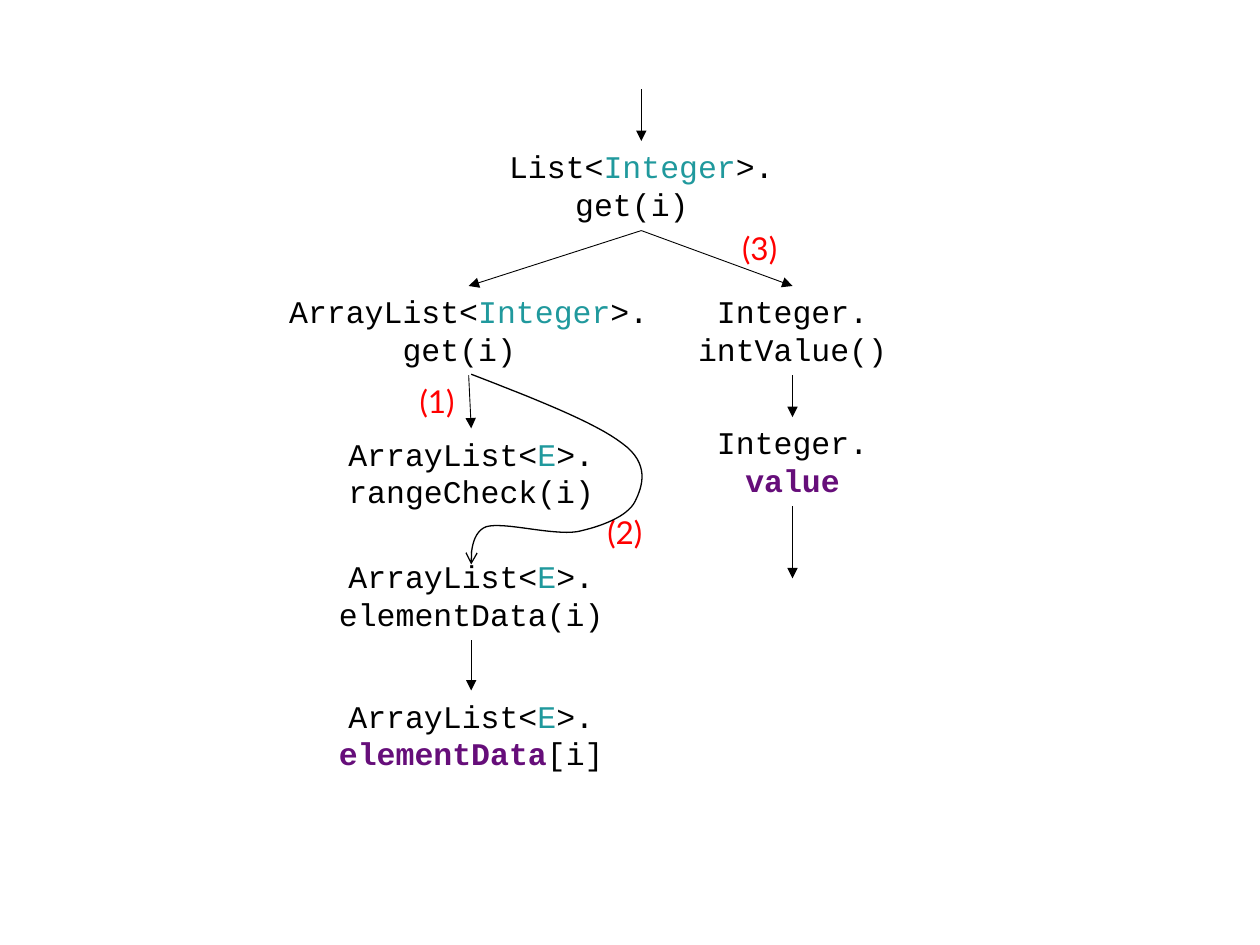
from typing import NamedTuple

import pptx
import pptx.dml.color
import pptx.enum.shapes
import pptx.enum.text
import pptx.oxml
import pptx.oxml.ns
import pptx.util
from pptx.util import Inches

BLACK, TEAL, PURPLE, RED = "000000", "20999D", "660E7A", "FF0000"
TOP, BOTTOM = 0, 2
BOX_HEIGHT = 0.71
CURVE_STEPS = 16


class Span(NamedTuple):
    text: str
    color: str = BLACK
    bold: bool = False


class Call(NamedTuple):
    center: float
    top: float
    width: float
    lines: list[list[Span]]


class Label(NamedTuple):
    text: str
    left: float
    top: float


def generic(name: str, argument: str) -> list[Span]:
    return [Span(f"{name}<"), Span(argument, TEAL), Span(">.")]


CALLS = {
    "list get": Call(5.09, 1.12, 2.29, [generic("List", "Integer"), [Span("get(i) ")]]),
    "array get": Call(3.72, 2.27, 3.04, [generic("ArrayList", "Integer"), [Span("get(i) ")]]),
    "range check": Call(3.74, 3.40, 2.14, [generic("ArrayList", "E"), [Span("rangeCheck(i)")]]),
    "element call": Call(3.74, 4.37, 2.21, [generic("ArrayList", "E"), [Span("elementData(i)")]]),
    "element field": Call(3.74, 5.48, 2.21, [
        generic("ArrayList", "E"), [Span("elementData", PURPLE, True), Span("[i]")]]),
    "int value": Call(6.29, 2.27, 1.61, [[Span("Integer.")], [Span("intValue()")]]),
    "value field": Call(6.29, 3.31, 1.39, [[Span("Integer.")], [Span("value", PURPLE, True)]]),
}
LINKS = [
    ("list get", "array get"),
    ("list get", "int value"),
    ("array get", "range check"),
    ("element call", "element field"),
    ("int value", "value field"),
]
LABELS = [Label("(1)", 3.28, 2.98), Label("(2)", 4.77, 4.02), Label("(3)", 5.84, 1.77)]

# Start point, then two control points and an end point for each cubic segment
BYPASS = [
    (3.74, 2.97),
    (4.23, 3.16), (4.72, 3.35), (4.94, 3.52),
    (5.16, 3.68), (5.10, 3.86), (5.04, 3.98),
    (4.98, 4.10), (4.77, 4.18), (4.58, 4.22),
    (4.38, 4.25), (4.00, 4.14), (3.86, 4.18),
    (3.72, 4.23), (3.74, 4.48), (3.74, 4.48),
]


def rgb(value: str) -> pptx.dml.color.RGBColor:
    return pptx.dml.color.RGBColor.from_string(value)


def add_text(page, left: float, top: float, width: float, height: float,
             lines: list[list[Span]], font: str, align):
    box = page.shapes.add_textbox(Inches(left), Inches(top), Inches(width), Inches(height))
    frame = box.text_frame
    frame.word_wrap = False
    frame.auto_size = pptx.enum.text.MSO_AUTO_SIZE.SHAPE_TO_FIT_TEXT
    frame.margin_left = frame.margin_right = Inches(0.05)
    frame.margin_top = frame.margin_bottom = Inches(0.05)
    for index, spans in enumerate(lines):
        para = frame.add_paragraph() if index else frame.paragraphs[0]
        para.alignment = align
        para.font.name = font
        para.font.size = pptx.util.Pt(18)
        for span in spans:
            run = para.add_run()
            run.text = span.text
            run.font.bold = span.bold
            run.font.color.rgb = rgb(span.color)
    return box


def style_arrow(shape, width: float, head: str) -> None:
    shape.line.color.rgb = rgb(BLACK)
    shape.line.width = pptx.util.Pt(width)
    end = pptx.oxml.parse_xml(f'<a:tailEnd {pptx.oxml.ns.nsdecls("a")} type="{head}"/>')
    shape.line._get_or_add_ln().append(end)


def add_arrow(page, x: float, top: float, bottom: float):
    arrow = page.shapes.add_connector(
        pptx.enum.shapes.MSO_CONNECTOR.STRAIGHT,
        Inches(x), Inches(top), Inches(x), Inches(bottom))
    style_arrow(arrow, 0.5, "triangle")
    effects = pptx.oxml.parse_xml(f'<a:effectLst {pptx.oxml.ns.nsdecls("a")}/>')
    arrow._element.spPr.append(effects)
    return arrow


def curve_points(points: list[tuple[float, float]]) -> list[tuple[int, int]]:
    """Sample the cubic segments as lengths, start point included."""
    sampled = [points[0]]
    for first in range(0, len(points) - 1, 3):
        segment = points[first:first + 4]
        for step in range(1, CURVE_STEPS + 1):
            t = step / CURVE_STEPS
            weights = ((1 - t) ** 3, 3 * t * (1 - t) ** 2, 3 * t ** 2 * (1 - t), t ** 3)
            sampled.append(tuple(
                sum(weight * point[axis] for weight, point in zip(weights, segment))
                for axis in (0, 1)))
    return [(Inches(x), Inches(y)) for x, y in sampled]


def add_bypass(page) -> None:
    start, *rest = curve_points(BYPASS)
    builder = page.shapes.build_freeform(*start)
    builder.add_line_segments(rest, close=False)
    curve = builder.convert_to_shape()
    curve.shadow.inherit = False
    curve.fill.background()
    style_arrow(curve, 0.75, "arrow")


def main() -> None:
    deck = pptx.Presentation()
    deck.slide_width, deck.slide_height = Inches(10), Inches(7.5)
    page = deck.slides.add_slide(deck.slide_layouts[6])
    align = pptx.enum.text.PP_ALIGN

    boxes = {
        name: add_text(page, call.center - call.width / 2, call.top, call.width,
                       BOX_HEIGHT, call.lines, "Courier New", align.CENTER)
        for name, call in CALLS.items()
    }
    for source, target in LINKS:
        arrow = add_arrow(page, 0, 0, 0)
        arrow.begin_connect(boxes[source], BOTTOM)
        arrow.end_connect(boxes[target], TOP)

    entry = add_arrow(page, CALLS["list get"].center, 0.71, CALLS["list get"].top)
    entry.end_connect(boxes["list get"], TOP)
    leaving = add_arrow(page, CALLS["value field"].center, 4.01, 4.59)
    leaving.begin_connect(boxes["value field"], BOTTOM)

    for label in LABELS:
        add_text(page, label.left, label.top, 0.44, 0.41,
                 [[Span(label.text, RED)]], "Lato", align.LEFT)
    add_bypass(page)
    deck.save("out.pptx")


if __name__ == "__main__":
    main()
